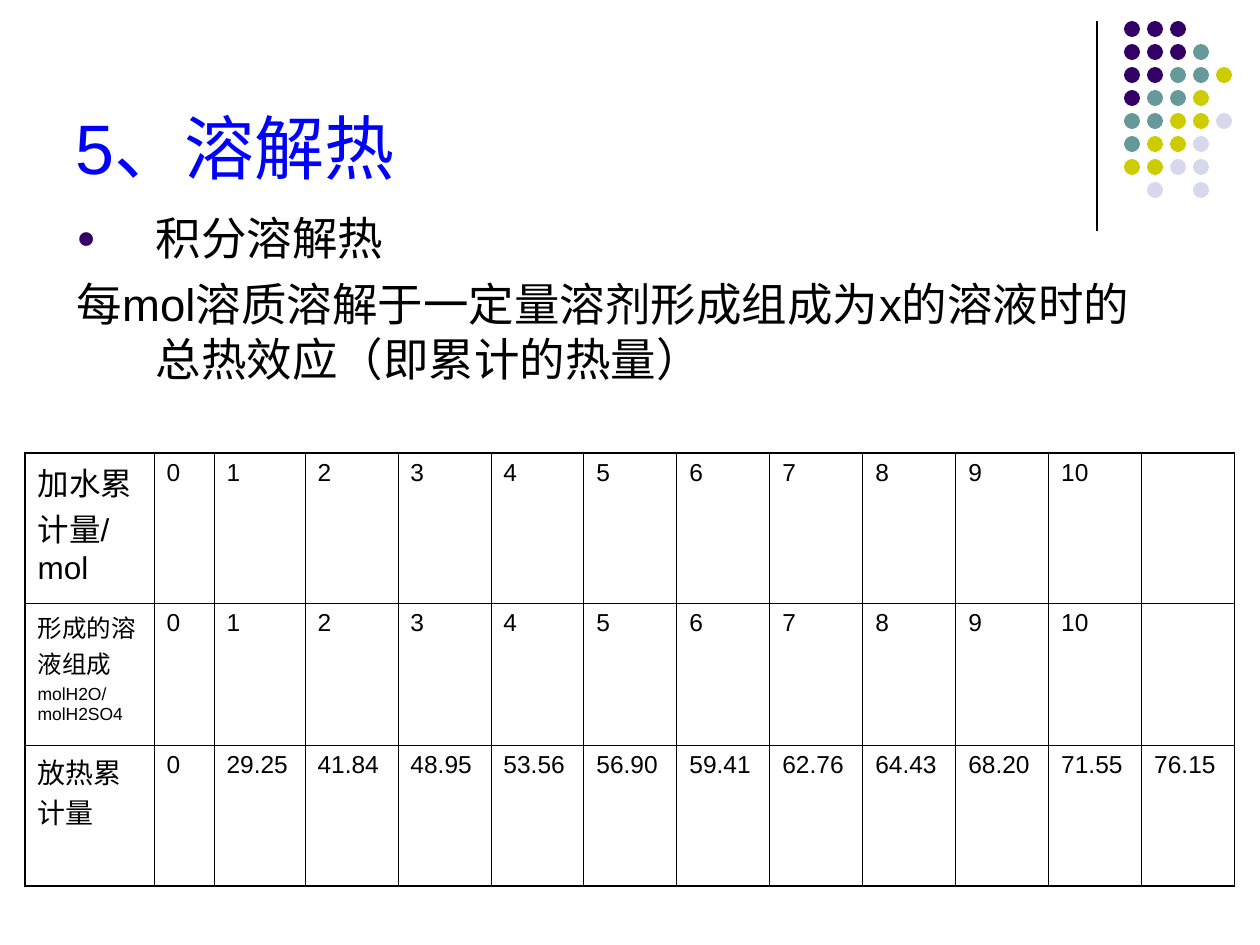
from lxml import etree
from pptx import Presentation
from pptx import util as u
from pptx.dml.color import RGBColor
from pptx.enum import shapes, text
from pptx.oxml import ns

PX = u.Inches(1) / 126
BLACK, PURPLE = "000000", "330066"


def px(*lengths):
    """Turn pixel lengths into EMU."""
    return [round(length * PX) for length in lengths]


def add_run(para, words, size, color=BLACK):
    span = para.add_run()
    span.text = words
    span.font.name = "Arial"
    span.font.size = u.Pt(size)
    span.font.color.rgb = RGBColor.from_string(color)


deck = Presentation()
deck.slide_width, deck.slide_height = px(1260, 945)
page = deck.slides.add_slide(deck.slide_layouts[1])

# Corner decoration: a rule and a grid of dots
x, top, bottom = px(1097, 21, 231)
rule = page.shapes.add_connector(shapes.MSO_CONNECTOR.STRAIGHT, x, top, x, bottom)
rule.line.color.rgb = RGBColor.from_string(BLACK)
rule.line.width = u.Pt(0.75)
etree.SubElement(rule._element.spPr, ns.qn("a:effectLst"))

DOT_COLORS = {"P": PURPLE, "T": "669999", "Y": "CCCC00", "L": "D8D8EC"}
DOT_ROWS = ["PPP", "PPPT", "PPTTY", "PTTY", "TTYYL", "TYYL", "YYLL", ".L.L"]
dots = page.shapes.add_group_shape()
for row, letters in enumerate(DOT_ROWS):
    for column, letter in enumerate(letters):
        if letter == ".":
            continue
        dot = dots.shapes.add_shape(
            shapes.MSO_SHAPE.OVAL, *px(1124 + 23 * column, 21 + 23 * row, 16, 16))
        dot.shadow.inherit = False
        dot.fill.solid()
        dot.fill.fore_color.rgb = RGBColor.from_string(DOT_COLORS[letter])
        dot.line.fill.background()

# Title
title = page.shapes.title
title.left, title.top, title.width, title.height = px(63, 16, 1040, 179)
title.text_frame.auto_size = text.MSO_AUTO_SIZE.NONE
title.text_frame.vertical_anchor = text.MSO_ANCHOR.BOTTOM
para = title.text_frame.paragraphs[0]
para.alignment = text.PP_ALIGN.LEFT
add_run(para, "5、溶解热", 40, "0000FF")

# Definition
body = page.placeholders[1]
body.left, body.top, body.width, body.height = px(64, 204, 1092, 197)
body.text_frame.auto_size = text.MSO_AUTO_SIZE.NONE
heading = body.text_frame.paragraphs[0]
definition = body.text_frame.add_paragraph()
indent = px(79)[0]
for para in (heading, definition):
    props = para._p.get_or_add_pPr()
    props.set("marL", str(indent))
    props.set("indent", str(-indent))
color = etree.SubElement(heading._p.pPr, ns.qn("a:buClr"))
etree.SubElement(color, ns.qn("a:srgbClr"), val=PURPLE)
etree.SubElement(heading._p.pPr, ns.qn("a:buSzPct"), val="70000")
etree.SubElement(heading._p.pPr, ns.qn("a:buChar"), char="●")
etree.SubElement(definition._p.pPr, ns.qn("a:buNone"))
heading.space_before = u.Pt(0)
definition.space_before = u.Pt(6.5)
add_run(heading, "积分溶解热", 26)
add_run(definition, "每mol溶质溶解于一定量溶剂形成组成为x的溶液时的总热效应（即累计的热量）", 26)

# Table: each row has label paragraphs (words, size) and then its values
steps = [str(n) for n in range(11)]
heats = "0 29.25 41.84 48.95 53.56 56.90 59.41 62.76 64.43 68.20 71.55 76.15".split()
ROWS = [
    ([("加水累计量/mol", 18)], steps + [""]),
    ([("形成的溶液组成", 14), ("molH2O/molH2SO4", 10)], steps + [""]),
    ([("放热累计量", 16)], heats),
]
WIDTHS = [129, 60, 91] + [93] * 10
HEIGHTS = [150, 142, 141]
frame = page.shapes.add_table(
    len(HEIGHTS), len(WIDTHS), *px(25, 453, sum(WIDTHS), sum(HEIGHTS)))
table = frame.table
table.first_row = table.horz_banding = False
for column, width in zip(table.columns, px(*WIDTHS)):
    column.width = width
for row, height in zip(table.rows, px(*HEIGHTS)):
    row.height = height

last_row, last_column = len(HEIGHTS) - 1, len(WIDTHS) - 1
for r, (label, values) in enumerate(ROWS):
    for c, content in enumerate([label] + [[(value, 14)] for value in values]):
        cell = table.cell(r, c)
        outer = {"L": c == 0, "R": c == last_column, "T": r == 0, "B": r == last_row}
        cell_props = cell._tc.get_or_add_tcPr()
        for side, is_outer in outer.items():
            width = u.Pt(1.08 if is_outer else 0.45)
            border = etree.SubElement(cell_props, ns.qn("a:ln" + side), w=str(width))
            fill = etree.SubElement(border, ns.qn("a:solidFill"))
            etree.SubElement(fill, ns.qn("a:srgbClr"), val=BLACK)
        cell.fill.background()
        for i, (words, size) in enumerate(content):
            para = cell.text_frame.paragraphs[0]
            if i:
                para = cell.text_frame.add_paragraph()
                para.space_before = u.Pt(2.5)
            if words:
                add_run(para, words, size)

deck.save("out.pptx")
